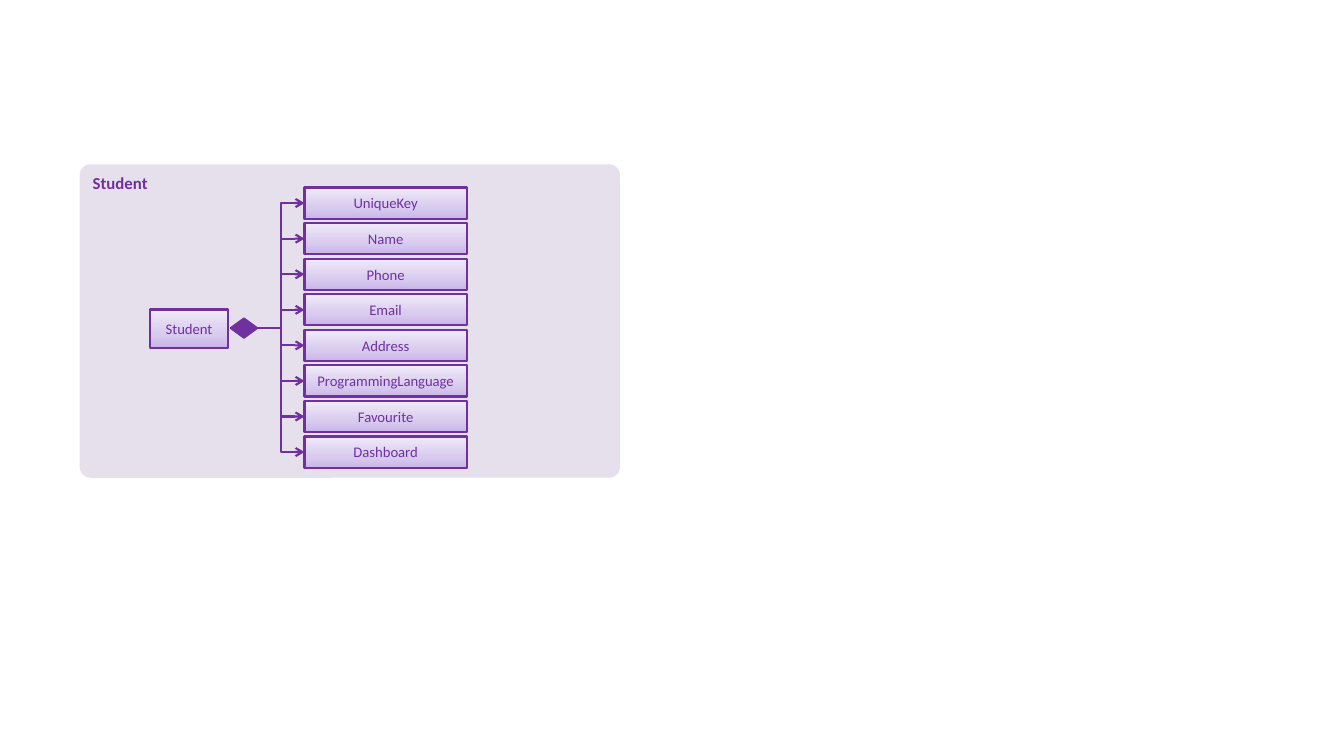
from copy import deepcopy
from dataclasses import dataclass

from lxml import etree
from pptx import Presentation
from pptx.dml.color import RGBColor
from pptx.enum import shapes, text
from pptx.oxml import ns
from pptx.util import Inches, Pt

PURPLE = "7030A0"
PANEL_FILL = "E6E0EC"
GRADIENT = [(0, "C9B5E8"), (0.35, "D8CBEE"), (1, "F0EAF9")]
FIELDS = ["UniqueKey", "Name", "Phone", "Email", "Address",
          "ProgrammingLanguage", "Favourite", "Dashboard"]
FIRST_TOP, LAST_TOP = 1.86, 4.33
RIGHT_SITE, LEFT_SITE = 3, 1


@dataclass
class Frame:
    left: float
    top: float
    width: float
    height: float


def color(value: str) -> RGBColor:
    return RGBColor.from_string(value)


def add_box(page, kind, frame: Frame):
    box = page.shapes.add_shape(
        kind, Inches(frame.left), Inches(frame.top),
        Inches(frame.width), Inches(frame.height))
    box.shadow.inherit = False
    return box


def fill_solid(box, value: str) -> None:
    box.fill.solid()
    box.fill.fore_color.rgb = color(value)


def fill_gradient(box) -> None:
    """Fill from the darkest stop at the bottom to the lightest at the top."""
    box.fill.gradient()
    box.fill.gradient_angle = 90
    stop_list = box._element.spPr.find(".//" + ns.qn("a:gsLst"))
    stop_list.append(deepcopy(stop_list[0]))
    for stop, (position, value) in zip(box.fill.gradient_stops, GRADIENT):
        stop.position = position
        stop.color.rgb = color(value)


def set_outline(item) -> None:
    item.line.color.rgb = color(PURPLE)
    item.line.width = Pt(1.5)


def write(box, wording: str, size: float, align, anchor, bold: bool = False) -> None:
    frame = box.text_frame
    frame.text = wording
    frame.word_wrap = True
    frame.vertical_anchor = anchor
    para = frame.paragraphs[0]
    para.alignment = align
    font = para.runs[0].font
    font.name, font.size, font.bold = "Calibri", Pt(size), bold
    font.color.rgb = color(PURPLE)


def add_entity(page, wording: str, frame: Frame):
    box = add_box(page, shapes.MSO_SHAPE.RECTANGLE, frame)
    fill_gradient(box)
    set_outline(box)
    write(box, wording, 10.5, text.PP_ALIGN.CENTER, text.MSO_ANCHOR.MIDDLE)
    box.text_frame.margin_left = box.text_frame.margin_right = Inches(0.05)
    return box


def add_arrow(page, source, target) -> None:
    arrow = page.shapes.add_connector(shapes.MSO_CONNECTOR.ELBOW, 0, 0, 0, 0)
    arrow.begin_connect(source, RIGHT_SITE)
    arrow.end_connect(target, LEFT_SITE)
    set_outline(arrow)
    etree.SubElement(arrow.line._get_or_add_ln(), ns.qn("a:tailEnd"), type="arrow")
    etree.SubElement(arrow._element.spPr, ns.qn("a:effectLst"))


def main() -> None:
    deck = Presentation()
    deck.slide_width, deck.slide_height = Inches(13.33), Inches(7.5)
    page = deck.slides.add_slide(deck.slide_layouts[6])

    panel = add_box(page, shapes.MSO_SHAPE.ROUNDED_RECTANGLE,
                    Frame(0.79, 1.63, 5.36, 3.11))
    panel.adjustments[0] = 0.035
    fill_solid(panel, PANEL_FILL)
    panel.line.fill.background()
    write(panel, "Student", 12, text.PP_ALIGN.LEFT, text.MSO_ANCHOR.TOP, bold=True)

    add_entity(page, "Student", Frame(1.49, 3.07, 0.77, 0.38))
    diamond = add_box(page, shapes.MSO_SHAPE.FLOWCHART_DECISION,
                      Frame(2.29, 3.16, 0.26, 0.19))
    fill_solid(diamond, PURPLE)
    set_outline(diamond)

    pitch = (LAST_TOP - FIRST_TOP) / (len(FIELDS) - 1)
    for row, name in enumerate(FIELDS):
        field = add_entity(page, name, Frame(3.02, FIRST_TOP + row * pitch, 1.61, 0.31))
        add_arrow(page, diamond, field)

    deck.save("out.pptx")


if __name__ == "__main__":
    main()
